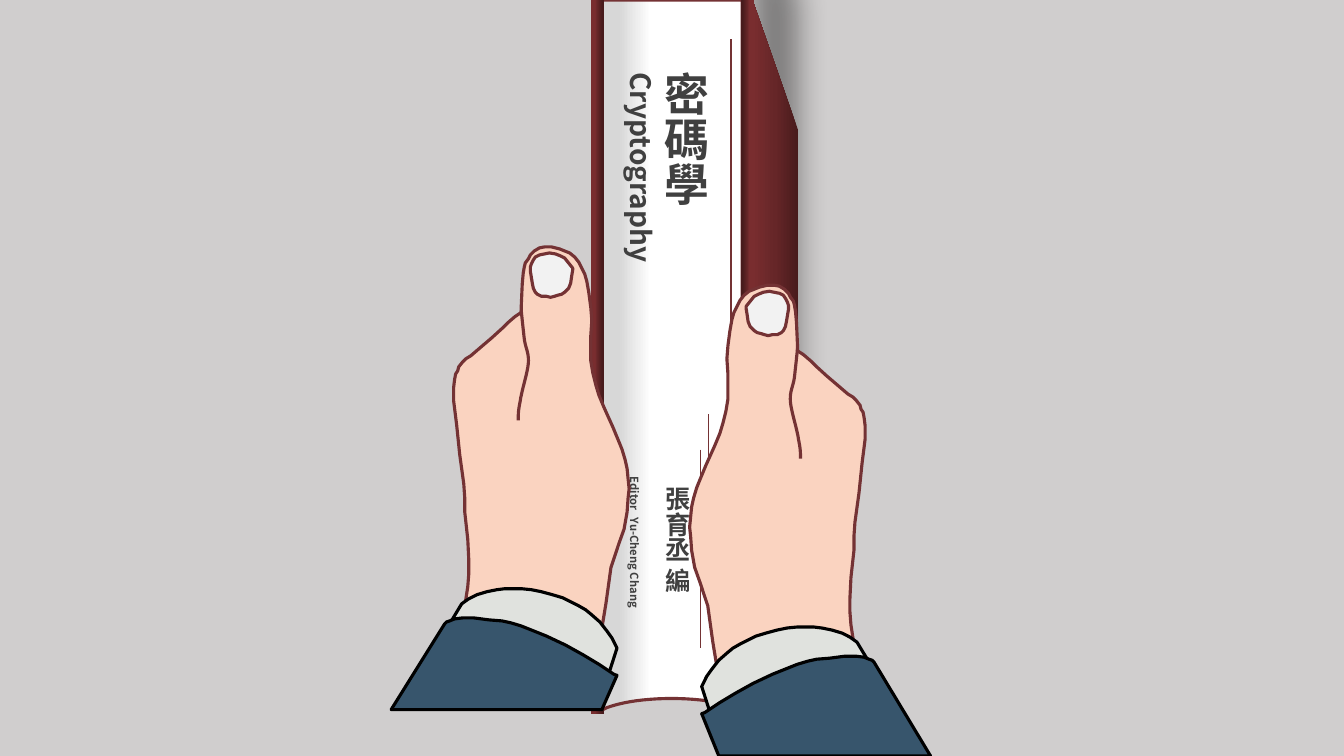
from lxml import etree
from pptx import Presentation
from pptx.dml.color import RGBColor
from pptx.enum.shapes import MSO_CONNECTOR, MSO_SHAPE
from pptx.oxml import parse_xml
from pptx.oxml.ns import nsdecls, qn
from pptx.util import Inches, Pt

RECTANGLE, PARALLELOGRAM = MSO_SHAPE.RECTANGLE, MSO_SHAPE.PARALLELOGRAM
STRAIGHT = MSO_CONNECTOR.STRAIGHT

# Content: (paragraph runs as text and size, tab stops in inches)
FONT = "Noto Sans CJK SC"
SPINE_TEXT = [
    ([("密碼學", 32), ("\t張育丞 編", 18)], [4.11]),
    ([("Cryptography", 20), ("\tEditor\tYu-Cheng Chang", 8)], [4.01, 4.42]),
]

# Colours
BACKGROUND, MAROON, BLACK, INK = "D0CECE", "743234", "000000", "404040"
SKIN, NAIL, CUFF, SLEEVE = "FAD3C0", "F2F2F2", "E0E2DE", "37556C"
COVER_SIDE = [(0, "481B1C"), (50, "662628"), (100, "792D2F")]
COVER_EDGE = [(13, "481B1C"), (50, "662628"), (66, "792D2F")]
PAGE_SHADE = [(12, "D7D7D7"), (35, "FFFFFF")]

# Book: cover edges as (left, gradient angle), rules as (x, top, bottom)
EDGES = [(5.86, 180), (7.35, 0)]
RULES = [(7.25, 0.39, 4.33), (7.03, 4.11, 6.08), (6.95, 4.46, 6.43)]
PAGE_CURVES = [
    ((7.30, 7.02), (7.13, 6.96), (6.91, 6.93), (6.66, 6.93)),
    ((6.66, 6.93), (6.41, 6.93), (6.19, 6.96), (6.02, 7.02)),
]

# Left hand outlines; the right hand mirrors them
HAND_POINTS = [
    (5.86, 3.36), (5.86, 3.33), (5.87, 3.18), (5.86, 3.05), (5.84, 2.90), (5.82, 2.79),
    (5.80, 2.72), (5.77, 2.66), (5.74, 2.60), (5.70, 2.55), (5.65, 2.51), (5.60, 2.49),
    (5.55, 2.47), (5.51, 2.46), (5.47, 2.45), (5.40, 2.45), (5.35, 2.46), (5.30, 2.49),
    (5.26, 2.53), (5.24, 2.57), (5.21, 2.61), (5.20, 2.65), (5.19, 2.71), (5.18, 2.82),
    (5.17, 3.05), (5.17, 3.10), (5.11, 3.14), (5.04, 3.20), (4.99, 3.25), (4.88, 3.35),
    (4.74, 3.47), (4.67, 3.53), (4.62, 3.56), (4.59, 3.59), (4.55, 3.64), (4.54, 3.68),
    (4.52, 3.71), (4.51, 3.76), (4.50, 3.84), (4.50, 3.98), (4.53, 4.22), (4.56, 4.51),
    (4.60, 4.80), (4.61, 4.94), (4.61, 5.08), (4.64, 5.35), (4.65, 5.56), (4.65, 5.69),
    (4.64, 5.82), (4.62, 5.95), (4.61, 6.01), (4.53, 6.34), (5.88, 6.49), (5.97, 6.23),
    (6.01, 5.99), (6.06, 5.63), (6.08, 5.57), (6.14, 5.39), (6.19, 5.25), (6.22, 5.08),
    (6.23, 4.94), (6.24, 4.85), (6.23, 4.75), (6.22, 4.65), (6.20, 4.56), (6.17, 4.46),
    (6.15, 4.41), (6.08, 4.24), (5.99, 4.04), (5.94, 3.92), (5.91, 3.82), (5.88, 3.70),
    (5.86, 3.58), (5.86, 3.44),
]
NAIL_POINTS = [
    (5.68, 2.66), (5.64, 2.61), (5.60, 2.56), (5.56, 2.54), (5.51, 2.52), (5.45, 2.51),
    (5.40, 2.52), (5.35, 2.53), (5.31, 2.55), (5.29, 2.58), (5.27, 2.62), (5.26, 2.65),
    (5.26, 2.69), (5.28, 2.81), (5.29, 2.86), (5.31, 2.90), (5.33, 2.92), (5.37, 2.94),
    (5.42, 2.94), (5.46, 2.95), (5.50, 2.94), (5.53, 2.93), (5.57, 2.92), (5.60, 2.90),
    (5.62, 2.88), (5.64, 2.86), (5.66, 2.81), (5.67, 2.74), (5.68, 2.68),
]
CUFF_POINTS = [
    (6.12, 6.43), (6.07, 6.33), (6.02, 6.26), (5.95, 6.17), (5.87, 6.10), (5.81, 6.05),
    (5.74, 6.01), (5.66, 5.97), (5.58, 5.93), (5.48, 5.90), (5.37, 5.87), (5.27, 5.85),
    (5.17, 5.84), (5.01, 5.84), (4.93, 5.85), (4.83, 5.87), (4.73, 5.90), (4.65, 5.94),
    (4.58, 5.99), (4.26, 6.52), (5.95, 6.96),
]
SLEEVE_POINTS = [
    (4.41, 6.19), (4.43, 6.17), (4.46, 6.16), (4.51, 6.14), (4.59, 6.13), (4.70, 6.13),
    (4.85, 6.15), (4.98, 6.16), (5.07, 6.18), (5.17, 6.21), (5.27, 6.25), (5.42, 6.31),
    (5.61, 6.40), (5.79, 6.50), (5.94, 6.59), (6.09, 6.69), (6.12, 6.70),
]
CREASE_CURVES = [
    ((5.17, 3.08), (5.18, 3.18), (5.19, 3.27), (5.20, 3.36)),
    ((5.20, 3.36), (5.21, 3.45), (5.25, 3.50), (5.24, 3.61)),
    ((5.24, 3.61), (5.23, 3.71), (5.17, 3.89), (5.16, 3.98)),
    ((5.16, 3.98), (5.14, 4.07), (5.14, 4.12), (5.14, 4.17)),
]
# (mirrored, drop, hem of the sleeve)
HANDS = [
    (False, 0, [(5.97, 7.04), (3.88, 7.04)]),
    (True, 0.38, [(5.95, 7.12), (3.85, 7.12)]),
]
MIRROR_SUM = 13.08


def color(value):
    return RGBColor.from_string(value)


def fill_gradient(shape, stops, angle):
    shape.fill.background()
    stop_xml = "".join(
        f'<a:gs pos="{position * 1000}"><a:srgbClr val="{value}"/></a:gs>' for position, value in stops)
    gradient = parse_xml(
        f'<a:gradFill {nsdecls("a")} rotWithShape="1"><a:gsLst>{stop_xml}</a:gsLst>'
        f'<a:lin ang="{angle * 60000}" scaled="0"/></a:gradFill>')
    properties = shape._element.spPr
    properties.replace(properties.find(qn("a:noFill")), gradient)


def sample(curves, steps=10):
    points = [curves[0][0]]
    for a, b, c, d in curves:
        for step in range(1, steps + 1):
            t = step / steps
            weights = ((1 - t) ** 3, 3 * t * (1 - t) ** 2, 3 * t * t * (1 - t), t ** 3)
            points.append(tuple(sum(w * p[axis] for w, p in zip(weights, (a, b, c, d))) for axis in (0, 1)))
    return points


def add_outline(shapes, points, fill, line, closed=True):
    scaled = [(Inches(x), Inches(y)) for x, y in points]
    builder = shapes.build_freeform(*scaled[0], scale=1.0)
    builder.add_line_segments(scaled[1:], close=closed)
    shape = builder.convert_to_shape()
    shape.shadow.inherit = False
    if fill:
        shape.fill.solid()
        shape.fill.fore_color.rgb = color(fill)
    else:
        shape.fill.background()
    shape.line.color.rgb = color(line)
    shape.line.width = Pt(2.25)
    return shape


def add_preset(shapes, kind, box, stops, angle):
    shape = shapes.add_shape(kind, *map(Inches, box))
    shape.shadow.inherit = False
    shape.line.fill.background()
    fill_gradient(shape, stops, angle)
    return shape


def add_book(shapes):
    # Cover side with its soft shadow
    side = add_preset(shapes, PARALLELOGRAM, (3.94, 3.53, 7.5, 0.45), COVER_SIDE, 90)
    side.rotation = 90
    side.adjustments[0] = 2.857
    effects = side._element.spPr.find(qn("a:effectLst"))
    effects.append(parse_xml(
        f'<a:outerShdw {nsdecls("a")} blurRad="{Pt(22)}" dist="{Pt(92)}" dir="16200000" rotWithShape="0">'
        f'<a:srgbClr val="{BLACK}"><a:alpha val="40000"/></a:srgbClr></a:outerShdw>'))

    # Page
    page_points = [(5.97, 0), (7.36, 0), (7.36, 7.04), (7.34, 7.04)]
    page_points += sample(PAGE_CURVES) + [(5.98, 7.04), (5.97, 7.04)]
    page = add_outline(shapes, page_points, None, MAROON)
    fill_gradient(page, PAGE_SHADE, 0)

    # Vertical lettering
    box = shapes.add_textbox(Inches(6.03), Inches(0.62), Inches(1.08), Inches(6.25))
    frame = box.text_frame
    frame.word_wrap = True
    frame._txBody.bodyPr.set("vert", "eaVert")
    for index, (runs, stops) in enumerate(SPINE_TEXT):
        paragraph = frame.add_paragraph() if index else frame.paragraphs[0]
        tabs = etree.SubElement(paragraph._p.get_or_add_pPr(), qn("a:tabLst"))
        for stop in stops:
            etree.SubElement(tabs, qn("a:tab"), pos=str(Inches(stop)), algn="l")
        for text, size in runs:
            run = paragraph.add_run()
            run.text = text
            run.font.size, run.font.bold, run.font.name = Pt(size), True, FONT
            run.font.color.rgb = color(INK)
            etree.SubElement(run.font._element, qn("a:ea"), typeface=FONT)

    # Cover edges and rules
    for left, angle in EDGES:
        add_preset(shapes, RECTANGLE, (left, -0.01, 0.13, 7.09), COVER_EDGE, angle)
    for x, top, bottom in RULES:
        rule = shapes.add_connector(STRAIGHT, *map(Inches, (x, top, x, bottom)))
        rule.line.color.rgb = color(MAROON)
        rule.line.width = Pt(0.75)
        etree.SubElement(rule._element.spPr, qn("a:effectLst"))


def add_hand(shapes, mirrored, drop, hem):
    group = shapes.add_group_shape()
    parts = [
        (HAND_POINTS, SKIN, MAROON, True),
        (NAIL_POINTS, NAIL, MAROON, True),
        (CUFF_POINTS, CUFF, BLACK, True),
        (SLEEVE_POINTS + hem, SLEEVE, BLACK, True),
        (sample(CREASE_CURVES), None, MAROON, False),
    ]
    for points, fill, line, closed in parts:
        placed = [(MIRROR_SUM - x if mirrored else x, y + drop) for x, y in points]
        add_outline(group.shapes, placed, fill, line, closed)


def main():
    presentation = Presentation()
    presentation.slide_width, presentation.slide_height = Inches(13.33), Inches(7.5)
    slide = presentation.slides.add_slide(presentation.slide_layouts[6])
    slide.background.fill.solid()
    slide.background.fill.fore_color.rgb = color(BACKGROUND)
    add_book(slide.shapes)
    for hand in HANDS:
        add_hand(slide.shapes, *hand)
    presentation.save("out.pptx")


if __name__ == "__main__":
    main()
